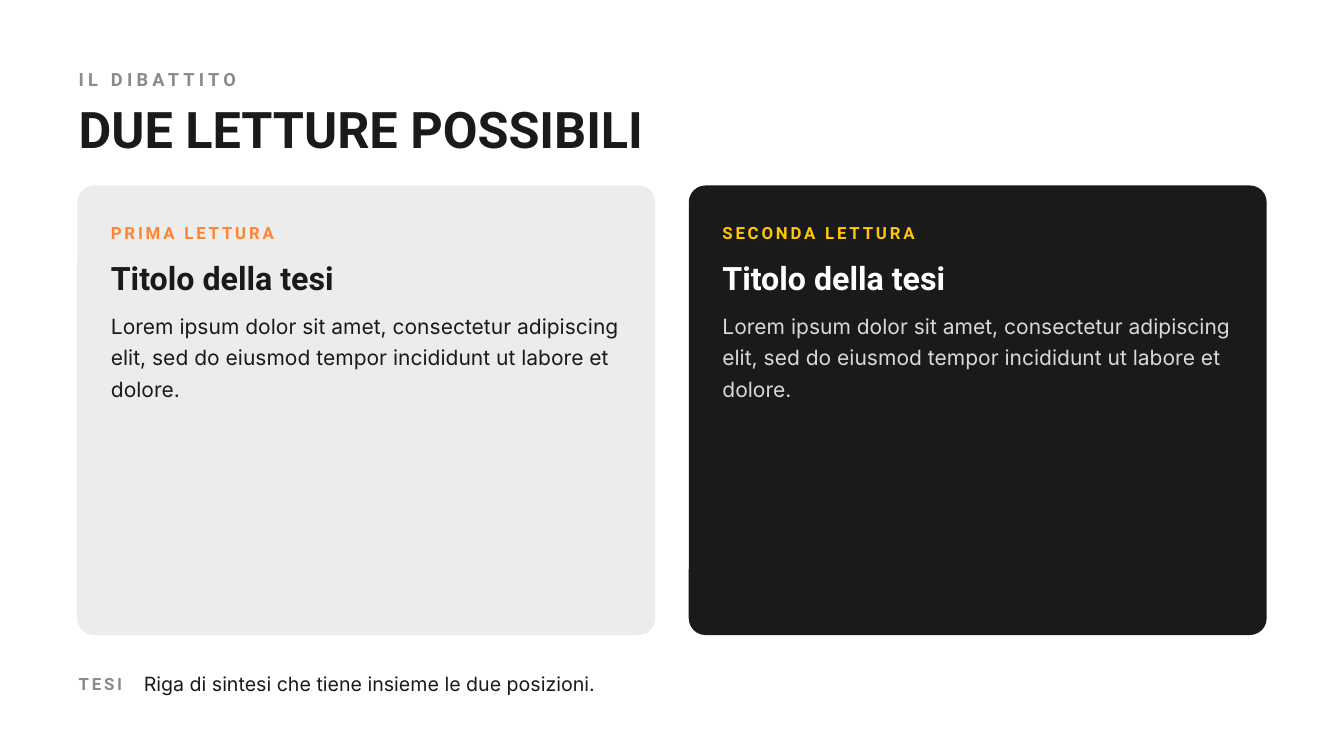
"""Build a slide that sets two possible readings side by side."""
from dataclasses import dataclass

from pptx import Presentation
from pptx.dml.color import RGBColor
from pptx.enum.shapes import MSO_SHAPE
from pptx.enum.text import MSO_ANCHOR, MSO_AUTO_SIZE, PP_ALIGN
from pptx.util import Inches, Pt

INK, GREY, WHITE = "1A1A1A", "8A8A8A", "FFFFFF"
LEFT, TEXT_WIDTH = 1.17, 19.42
CARD_LEFT, CARD_TOP, CARD_WIDTH, CARD_HEIGHT = 1.15, 2.76, 8.6, 6.69
CARD_PITCH, CARD_RADIUS, CARD_PADDING = 9.1, 0.25, 0.5
LABEL_WIDTH, BODY_WIDTH = 8.35, 7.82


@dataclass(frozen=True)
class Style:
    name: str
    size: float
    leading: float
    bold: bool = True
    tracking: float = 0


@dataclass(frozen=True)
class Card:
    fill: str
    label: str
    label_color: str
    title_color: str
    body_color: str


KICKER = Style("Roboto", 19.5, 23.4, tracking=4.5)
HEADLINE = Style("Roboto", 54, 54.2)
LABEL = Style("Roboto", 18, 21.6, tracking=3)
CARD_TITLE = Style("Roboto", 34.5, 39.8)
BODY = Style("Inter", 22.5, 33.8, bold=False)
SUMMARY = Style("Inter", 21, 30.1, bold=False)

CARD_HEADING = "Titolo della tesi"
CARD_BODY = (
    "Lorem ipsum dolor sit amet, consectetur adipiscing elit, "
    "sed do eiusmod tempor incididunt ut labore et dolore."
)
CARDS = (
    Card("ECECEC", "PRIMA LETTURA", "FF842F", INK, INK),
    Card(INK, "SECONDA LETTURA", "FFC700", WHITE, "D9D9D9"),
)


def color(value: str) -> RGBColor:
    """Turn a hex string into a colour."""
    return RGBColor.from_string(value)


def place(box, left: float, top: float, width: float, height: float) -> None:
    """Set the position and size of a shape in inches."""
    bounds = {"left": left, "top": top, "width": width, "height": height}
    for key, value in bounds.items():
        setattr(box, key, Inches(value))


def write(box, text: str, style: Style, hue: str) -> None:
    """Fill a box with one styled paragraph."""
    frame = box.text_frame
    frame_format = {
        "margin_left": 0, "margin_top": 0, "margin_right": 0, "margin_bottom": 0,
        "word_wrap": True, "auto_size": MSO_AUTO_SIZE.NONE,
        "vertical_anchor": MSO_ANCHOR.TOP,
    }
    for key, value in frame_format.items():
        setattr(frame, key, value)
    para = frame.paragraphs[0]
    para_format = {
        "alignment": PP_ALIGN.LEFT, "line_spacing": Pt(style.leading),
        "space_before": Pt(0), "space_after": Pt(0),
    }
    for key, value in para_format.items():
        setattr(para, key, value)
    span = para.add_run()
    span.text = text
    font_format = {"name": style.name, "size": Pt(style.size), "bold": style.bold}
    for key, value in font_format.items():
        setattr(span.font, key, value)
    span.font.color.rgb = color(hue)
    if style.tracking:
        span._r.get_or_add_rPr().set("spc", str(int(style.tracking * 100)))


def add_text(page, bounds: tuple[float, ...], text: str, style: Style, hue: str) -> None:
    """Add a text box with one styled paragraph."""
    box = page.shapes.add_textbox(*map(Inches, bounds))
    write(box, text, style, hue)


def add_card(page, card: Card, left: float) -> None:
    """Draw a rounded card with its label, heading and body."""
    bounds = map(Inches, (left, CARD_TOP, CARD_WIDTH, CARD_HEIGHT))
    panel = page.shapes.add_shape(MSO_SHAPE.ROUNDED_RECTANGLE, *bounds)
    panel.adjustments[0] = CARD_RADIUS / CARD_HEIGHT
    panel.shadow.inherit = False
    panel.fill.solid()
    panel.fill.fore_color.rgb = color(card.fill)
    panel.line.fill.background()
    inner = left + CARD_PADDING
    add_text(page, (inner, 3.31, LABEL_WIDTH, 0.31), card.label, LABEL, card.label_color)
    add_text(page, (inner, 3.86, LABEL_WIDTH, 0.54), CARD_HEADING, CARD_TITLE, card.title_color)
    add_text(page, (inner, 4.57, BODY_WIDTH, 1.47), CARD_BODY, BODY, card.body_color)


def main() -> None:
    """Build and save the deck."""
    deck = Presentation()
    deck.slide_width, deck.slide_height = Inches(20), Inches(11.25)
    page = deck.slides.add_slide(deck.slide_layouts.get_by_name("Title Only"))
    page.background.fill.solid()
    page.background.fill.fore_color.rgb = color(WHITE)
    add_text(page, (LEFT, 1.01, TEXT_WIDTH, 0.33), "IL DIBATTITO", KICKER, GREY)
    title = page.shapes.title
    place(title, LEFT, 1.61, TEXT_WIDTH, 0.66)
    write(title, "DUE LETTURE POSSIBILI", HEADLINE, INK)
    for index, card in enumerate(CARDS):
        add_card(page, card, CARD_LEFT + index * CARD_PITCH)
    add_text(page, (LEFT, 10.03, 0.7, 0.31), "TESI", LABEL, GREY)
    summary = "Riga di sintesi che tiene insieme le due posizioni."
    add_text(page, (2.14, 9.93, 7.33, 0.46), summary, SUMMARY, INK)
    deck.save("out.pptx")


if __name__ == "__main__":
    main()
